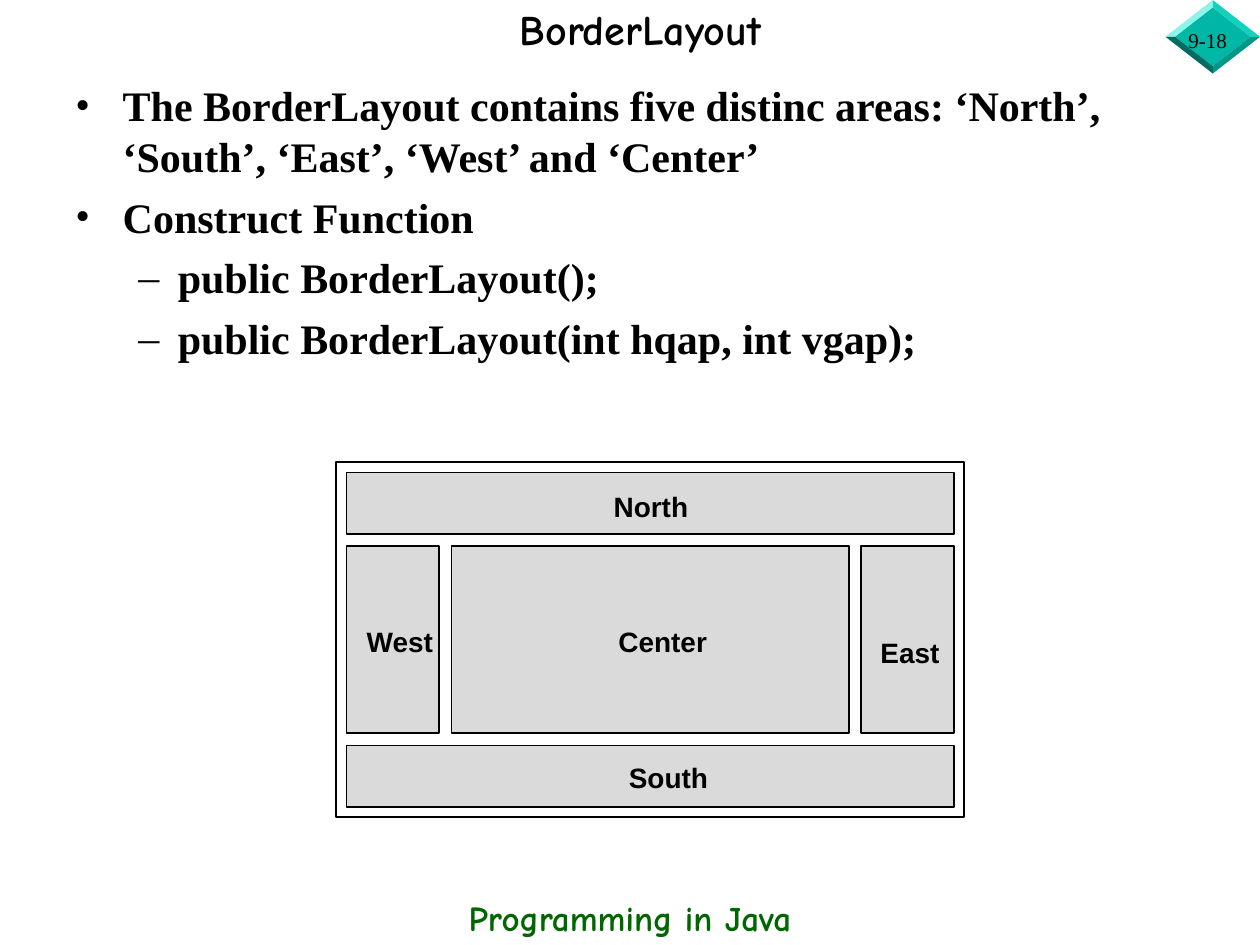
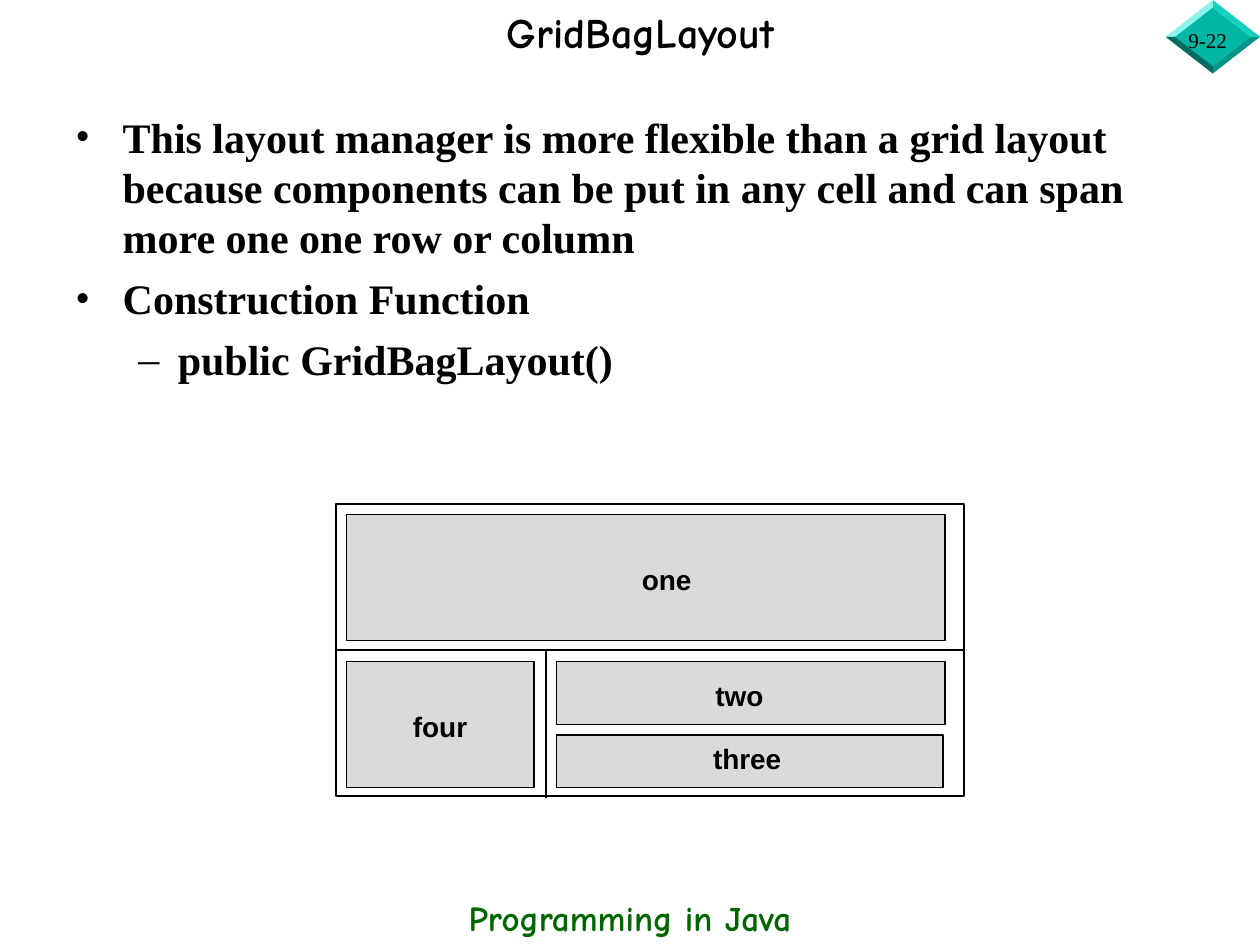
from lxml import etree
from pptx import Presentation
from pptx.dml.color import RGBColor
from pptx.enum import shapes, text
from pptx.oxml import ns
from pptx.util import Pt

BLACK = RGBColor(0x00, 0x00, 0x00)
GREEN = RGBColor(0x00, 0x66, 0x00)
GREY = RGBColor(0xDA, 0xDA, 0xDA)
FACE = RGBColor(0x00, 0xB7, 0xA5)
EDGES = {
    (1, -1): RGBColor(0x14, 0xD1, 0xBE),
    (-1, -1): RGBColor(0x8C, 0xF4, 0xEA),
    (1, 1): RGBColor(0x00, 0x96, 0x88),
    (-1, 1): RGBColor(0x00, 0x6B, 0x61),
}
SERIF, SANS, COMIC = "Times New Roman", "Arial", "Comic Neue"
CENTER = text.PP_ALIGN.CENTER
WIDE, HIGH = 720, 540
LEVELS = [("•", 27, -27), ("–", 58.5, -22.5)]


def mark(par, level):
    sign, left, hang = LEVELS[level]
    par.level = level
    props = par._p.get_or_add_pPr()
    props.set("marL", str(Pt(left)))
    props.set("indent", str(Pt(hang)))
    etree.SubElement(props, ns.qn("a:buFont")).set("typeface", SERIF)
    etree.SubElement(props, ns.qn("a:buChar")).set("char", sign)


def write(slide, words, box, font=SERIF, size=24, color=BLACK, bold=True,
          align=None, middle=False, wrap=True, levels=None, pitch=None):
    frame = slide.shapes.add_textbox(*map(Pt, box)).text_frame
    frame.word_wrap = wrap
    frame.vertical_anchor = text.MSO_ANCHOR.MIDDLE if middle else text.MSO_ANCHOR.TOP
    lines = [words] if isinstance(words, str) else words
    for i, line in enumerate(lines):
        par = frame.paragraphs[0] if i == 0 else frame.add_paragraph()
        if levels:
            mark(par, levels[i])
        if i:
            par.space_before = Pt(6)
        if pitch:
            par.line_spacing = pitch
        par.alignment = align
        run = par.add_run()
        run.text = line
        run.font.name, run.font.size, run.font.bold = font, Pt(size), bold
        run.font.color.rgb = color


def facet(slide, points, color):
    start, *rest = [(Pt(x), Pt(y)) for x, y in points]
    draft = slide.shapes.build_freeform(*start)
    draft.add_line_segments(rest, close=True)
    shape = draft.convert_to_shape()
    shape.shadow.inherit = False
    shape.fill.solid()
    shape.fill.fore_color.rgb = color
    shape.line.fill.background()


def gem(slide):
    mid_x, mid_y = 693, 21
    out_x, out_y, in_x, in_y = 27, 21, 21.6, 16.8
    facet(slide, [(mid_x, mid_y - in_y), (mid_x - in_x, mid_y),
                  (mid_x, mid_y + in_y), (mid_x + in_x, mid_y)], FACE)
    for (dx, dy), color in EDGES.items():
        facet(slide, [(mid_x, mid_y + dy * in_y), (mid_x, mid_y + dy * out_y),
                      (mid_x + dx * out_x, mid_y), (mid_x + dx * in_x, mid_y)], color)


def block(slide, box, fill=GREY):
    shape = slide.shapes.add_shape(shapes.MSO_SHAPE.RECTANGLE, *map(Pt, box))
    shape.shadow.inherit = False
    if fill is None:
        shape.fill.background()
    else:
        shape.fill.solid()
        shape.fill.fore_color.rgb = fill
    shape.line.color.rgb = BLACK
    shape.line.width = Pt(1)
    return shape


def label(slide, words, mid, top):
    width = 66
    write(slide, words, (mid - width / 2, top, width, 26), font=SANS, size=16,
          align=CENTER, wrap=False)


def rule(slide, start, end):
    line = slide.shapes.add_connector(shapes.MSO_CONNECTOR.STRAIGHT,
                                      *map(Pt, start + end))
    line.line.color.rgb = BLACK
    line.line.width = Pt(1)
    etree.SubElement(line._element.spPr, ns.qn("a:effectLst"))
    return line


def page(deck, number, title, points, top, pitch=None):
    slide = deck.slides.add_slide(deck.slide_layouts[6])
    gem(slide)
    write(slide, number, (672, 12, 48, 22), size=12, bold=False)
    write(slide, "Programming in Java", (0, 509, WIDE, 31.5), font=COMIC, size=20,
          color=GREEN, align=CENTER)
    levels, lines = zip(*points)
    write(slide, lines, (36, top, 660, 245.5 - top), levels=levels)
    write(slide, title, (60, 0, 612, 36), font=COMIC, align=CENTER, middle=True,
          pitch=pitch)
    return slide


def spans(start, sizes, gap):
    found = []
    for size in sizes:
        found.append((start, size))
        start += size + gap
    return found


def border(slide):
    block(slide, (192, 264, 359, 203), fill=None)
    cols = spans(198, (53, 227, 53), 7)
    rows = spans(270, (35, 107, 35), 7)
    for y, h in (rows[0], rows[2]):
        block(slide, (198, y, 347, h))
    y, h = rows[1]
    for x, w in cols:
        block(slide, (x, y, w, h))
    for words, mid, top in (("North", 372, 276), ("South", 382, 431),
                            ("West", 228.5, 353.5), ("East", 520, 359.5),
                            ("Center", 378.7, 353.5)):
        label(slide, words, mid, top)


def grid(slide):
    frame = block(slide, (192, 288, 359, 167), fill=None)
    for box in ((198, 294, 342, 72), (198, 378, 107, 72),
                (318, 378, 222, 36), (318, 420, 221, 30)):
        block(slide, box)
    rule(slide, (312, 372), (312, 456))
    split = rule(slide, (192, 371.5), (551, 371.5))
    split.begin_connect(frame, 1)
    split.end_connect(frame, 3)
    for words, mid, top in (("one", 381, 318), ("four", 251.5, 402),
                            ("two", 422.5, 384), ("three", 427, 420)):
        label(slide, words, mid, top)


def main():
    deck = Presentation()
    deck.slide_width, deck.slide_height = Pt(WIDE), Pt(HIGH)
    border(page(deck, "9-18", "BorderLayout", [
        (0, "The BorderLayout contains five distinc areas: ‘North’, ‘South’, "
            "‘East’, ‘West’ and ‘Center’"),
        (0, "Construct Function"),
        (1, "public BorderLayout();"),
        (1, "public BorderLayout(int hqap, int vgap);"),
    ], top=42, pitch=0.9))
    grid(page(deck, "9-22", "GridBagLayout", [
        (0, "This layout manager is more flexible than a grid layout because "
            "components can be put in any cell and can span more one one row or column"),
        (0, "Construction Function"),
        (1, "public GridBagLayout()"),
    ], top=60))
    deck.save("out.pptx")


if __name__ == "__main__":
    main()
